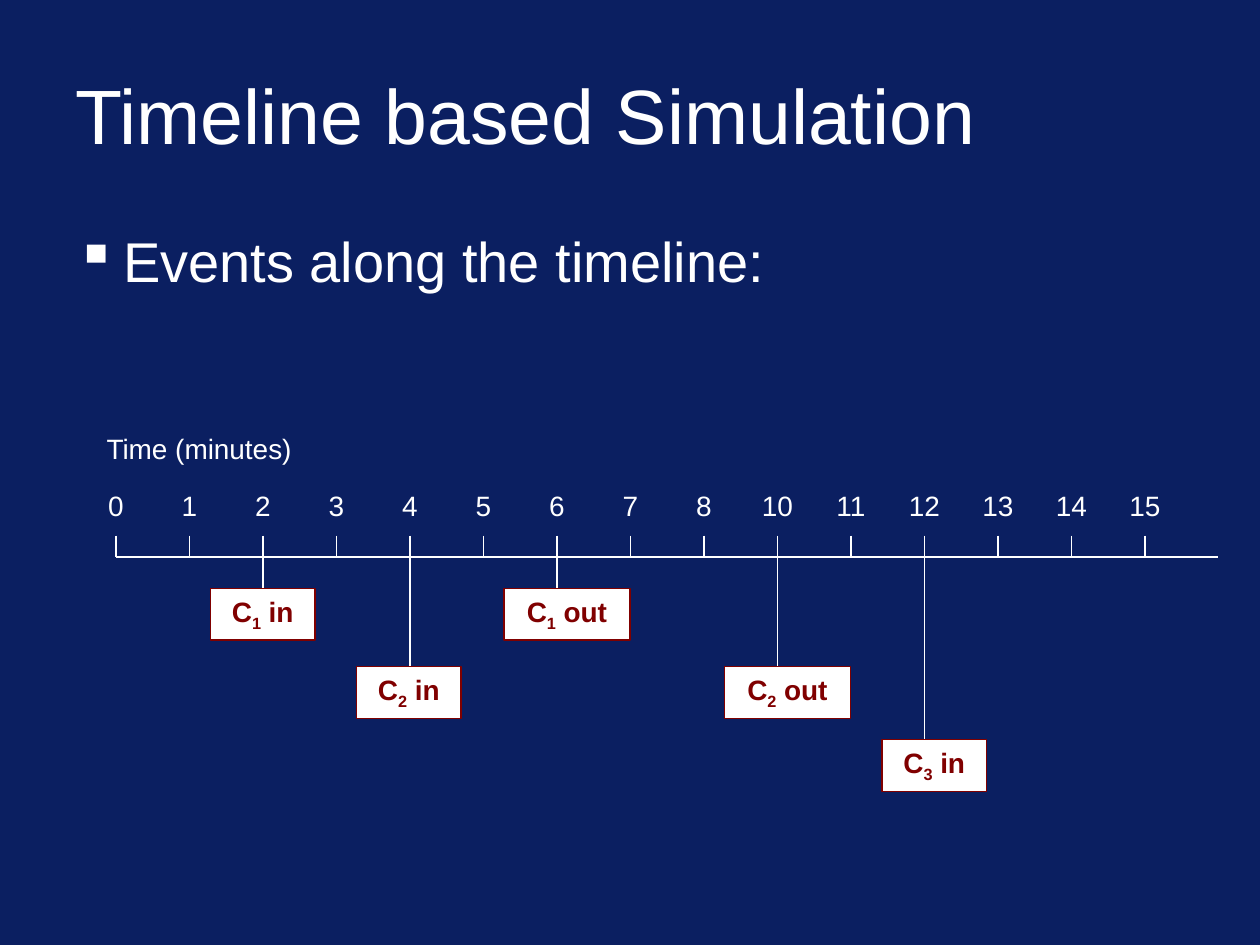
from pptx import Presentation
from pptx.dml.color import RGBColor
from pptx.enum.shapes import MSO_CONNECTOR, MSO_SHAPE
from pptx.enum.text import MSO_ANCHOR, PP_ALIGN
from pptx.oxml.ns import qn
from pptx.util import Inches, Pt
from lxml import etree

STRAIGHT = MSO_CONNECTOR.STRAIGHT
RECTANGLE = MSO_SHAPE.RECTANGLE
TOP, MIDDLE = MSO_ANCHOR.TOP, MSO_ANCHOR.MIDDLE
LEFT, CENTER = PP_ALIGN.LEFT, PP_ALIGN.CENTER

NAVY, WHITE, MAROON = "0B1F61", "FFFFFF", "800000"
AXIS_LEFT, AXIS_Y, TICK_TOP = 0.92, 4.42, 4.25
STEP = 7 / 12
MINUTES = [0, 1, 2, 3, 4, 5, 6, 7, 8, 10, 11, 12, 13, 14, 15]
EVENTS = [
    (2, "1", " in", 1.67, 4.67, 0.83),
    (4, "2", " in", 2.83, 5.29, 0.83),
    (6, "1", " out", 4, 4.67, 1),
    (10, "2", " out", 5.75, 5.29, 1),
    (12, "3", " in", 7, 5.87, 0.83),
]


def colour(value):
    return RGBColor.from_string(value)


class TimelineSlide:
    """Draws styled elements on one slide."""

    font_name = "Arial"
    line_width = Pt(0.75)

    def __init__(self, page):
        self.page = page
        page.background.fill.solid()
        page.background.fill.fore_color.rgb = colour(NAVY)

    def set_font(self, paragraph, size, ink, bold=False):
        font = paragraph.font
        font.name, font.size, font.bold = self.font_name, Pt(size), bold
        font.color.rgb = colour(ink)

    def text(self, content, left, top, width, height, size,
             align=LEFT, anchor=TOP, wrap=True):
        box = self.page.shapes.add_textbox(
            Inches(left), Inches(top), Inches(width), Inches(height))
        frame = box.text_frame
        frame.word_wrap, frame.vertical_anchor = wrap, anchor
        paragraph = frame.paragraphs[0]
        paragraph.text, paragraph.alignment = content, align
        self.set_font(paragraph, size, WHITE)
        return paragraph

    def bullet(self, content, left, top, width, height, size):
        paragraph = self.text(content, left, top, width, height, size)
        paragraph.space_before = Pt(8)
        properties = paragraph._p.get_or_add_pPr()
        properties.set("marL", str(Inches(0.38)))
        properties.set("indent", str(-Inches(0.38)))
        mark = etree.Element(qn("a:buChar"), char="▪")
        properties.find(qn("a:spcBef")).addnext(mark)

    def line(self, x1, y1, x2, y2):
        connector = self.page.shapes.add_connector(
            STRAIGHT, Inches(x1), Inches(y1), Inches(x2), Inches(y2))
        connector.line.color.rgb = colour(WHITE)
        connector.line.width = self.line_width
        etree.SubElement(connector._element.spPr, qn("a:effectLst"))

    def event(self, customer, action, left, top, width):
        box = self.page.shapes.add_shape(
            RECTANGLE, Inches(left), Inches(top), Inches(width), Inches(0.41))
        box.shadow.inherit = False
        box.fill.solid()
        box.fill.fore_color.rgb = colour(WHITE)
        box.line.color.rgb = colour(MAROON)
        box.line.width = self.line_width
        box.text_frame.vertical_anchor = TOP
        paragraph = box.text_frame.paragraphs[0]
        paragraph.alignment = CENTER
        self.set_font(paragraph, 16, MAROON, bold=True)
        for content in ("C", customer, action):
            span = paragraph.add_run()
            span.text = content
            if content == customer:
                span._r.get_or_add_rPr().set("baseline", "-25000")


def main():
    deck = Presentation()
    deck.slide_width, deck.slide_height = Inches(10), Inches(7.5)
    slide = TimelineSlide(deck.slides.add_slide(deck.slide_layouts[6]))

    slide.text("Timeline based Simulation", 0.5, 0.4, 9, 1, 44, anchor=MIDDLE)
    slide.bullet("Events along the timeline:", 0.5, 1.75, 9, 0.92, 32)
    slide.text("Time (minutes)", 0.74, 3.38, 1.68, 0.37, 16, CENTER, wrap=False)

    ticks = {minute: AXIS_LEFT + index * STEP
             for index, minute in enumerate(MINUTES)}
    for minute, x in ticks.items():
        slide.line(x, AXIS_Y, x + STEP, AXIS_Y)
        slide.line(x, TICK_TOP, x, AXIS_Y)
        width = 0.32 if minute < 10 else 0.49
        slide.text(str(minute), x - width / 2, 3.83, width, 0.37, 16, CENTER)

    for minute, customer, action, left, top, width in EVENTS:
        slide.line(ticks[minute], AXIS_Y, ticks[minute], top)
        slide.event(customer, action, left, top, width)

    deck.save("out.pptx")


if __name__ == "__main__":
    main()
